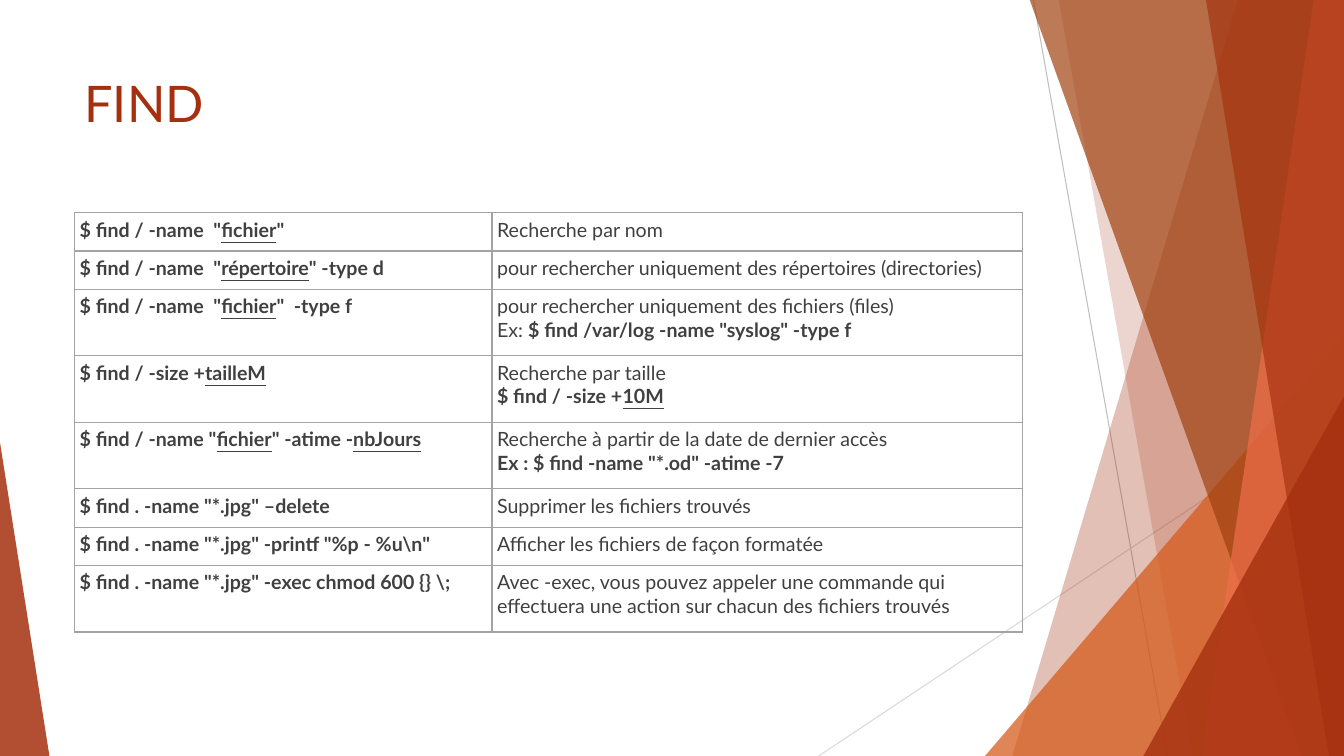
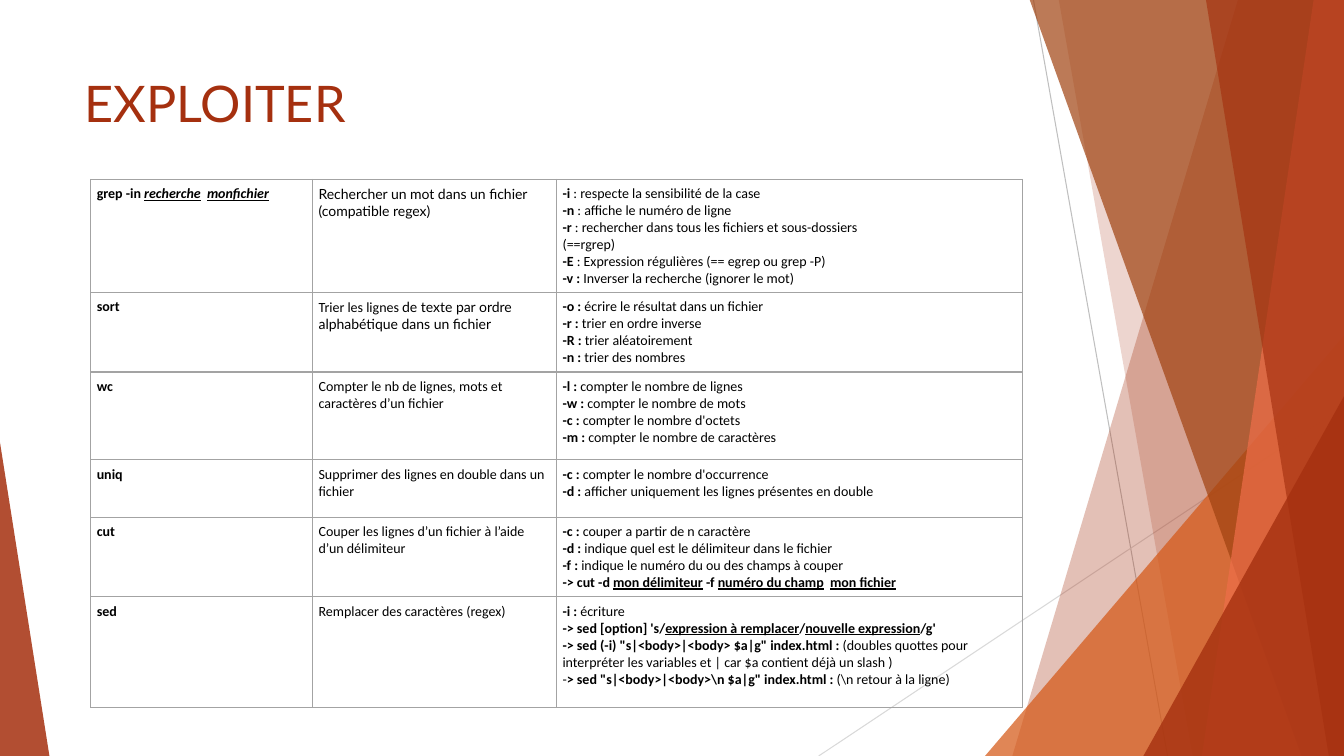
from lxml.etree import SubElement
from pptx import Presentation
from pptx.dml.color import RGBColor
from pptx.enum.shapes import MSO_CONNECTOR, MSO_SHAPE
from pptx.oxml import parse_xml
from pptx.oxml.ns import nsdecls, qn
from pptx.util import Pt

PX = 9144
W, H = 1333, 750
COLORS = {
    "rust": "A5300F", "orange": "D55816", "brown": "A04210", "coral": "EE6E4A",
    "grey": "BFBFBF", "pale": "D9D9D9", "border": "A3A3A3",
    "text": "404040", "black": "000000",
}
MARKS = {"^": "bold", "_": "underline", "~": "italic", "`": "alternate"}

RAYS = [
    ((1025, 0), (1158, H), "grey"),
    ((W, 403), (812, H), "pale"),
]
FACETS = [
    ("band", (1228, 1004), "rust", 30),
    ("band", (1050, 1183), "rust", 20),
    ("triangle", (977, 333, 356, 417, 1), "orange", 72),
    ("band", (1021, 1291), "brown", 70),
    ("band", (1303, 1192), "coral", 70),
    ("band", (1196, 1318), "rust", 65),
    ("triangle", (1134, 393, 199, 357, 1), "rust", 80),
    ("triangle", (0, 439, 49, 311, 0), "rust", 85),
]

SLIDES = [
    {
        "title": "FIND",
        "at": (74, 211), "cols": [414, 526],
        "rows": [38, 38, 66, 66, 66, 38, 38, 66],
        "inset": 5, "size": 14, "color": "text", "fonts": ("Lato", "Lato"),
        "cells": [
            ['^$ find / -name  "_fichier_"', "Recherche par nom"],
            ['^$ find / -name  "_répertoire_" -type d',
             "pour rechercher uniquement des répertoires (directories)"],
            ['^$ find / -name  "_fichier_"  -type f',
             ["pour rechercher uniquement des fichiers (files)",
              'Ex: ^$ find /var/log -name "syslog" -type f']],
            ["^$ find / -size +_tailleM",
             ["Recherche par taille", "^$ find / -size +_10M"]],
            ['^$ find / -name "_fichier_" -atime -_nbJours',
             ["Recherche à partir de la date de dernier accès",
              '^Ex : $ find -name "*.od" -atime -7']],
            ['^$ find . -name "*.jpg" –delete', "Supprimer les fichiers trouvés"],
            [r'^$ find . -name "*.jpg" -printf "%p - %u\n"',
             "Afficher les fichiers de façon formatée"],
            [r'^$ find . -name "*.jpg" -exec chmod 600 {} \;',
             "Avec -exec, vous pouvez appeler une commande qui effectuera "
             "une action sur chacun des fichiers trouvés"],
        ],
    },
    {
        "title": "EXPLOITER",
        "at": (90, 178), "cols": [220, 242, 462],
        "rows": [112, 79, 87, 57, 79, 110],
        "inset": 6, "size": 10, "color": "black", "fonts": ("Calibri", "Lato"),
        "cells": [
            ["^grep -in ~_recherche_  _monfichier",
             "`Rechercher un mot dans un fichier (compatible regex)",
             ["^-i^ : respecte la sensibilité de la case",
              "^-n^ : affiche le numéro de ligne",
              "^-r^ : rechercher dans tous les fichiers et sous-dossiers",
              "(==rgrep)",
              "^-E ^: Expression régulières (== egrep ou grep -P)",
              "^-v :^ Inverser la recherche (ignorer le mot)"]],
            ["^sort",
             "Trier les lignes `de texte par ordre alphabétique dans un fichier",
             ["^-o :^ écrire le résultat dans un fichier",
              "^-r : ^trier en ordre inverse",
              "^-R : ^trier aléatoirement",
              "^-n : ^trier des nombres"]],
            ["^wc", "Compter le nb de lignes, mots et caractères d’un fichier",
             ["^-l :^ compter le nombre de lignes",
              "^-w :^ compter le nombre de mots",
              "^-c :^ compter le nombre d'octets",
              "^-m :^ compter le nombre de caractères"]],
            ["^uniq", "Supprimer des lignes en double dans un fichier",
             ["^-c :^ compter le nombre d'occurrence",
              "^-d :^ afficher uniquement les lignes présentes en double"]],
            ["^cut", "Couper les lignes d’un fichier à l’aide d’un délimiteur",
             ["^-c : ^couper a partir de n caractère",
              "^-d : ^indique quel est le délimiteur dans le fichier",
              "^-f : ^indique le numéro du ou des champs à couper",
              "^-> cut -d _mon délimiteur_ -f _numéro du champ_  _mon fichier"]],
            ["^sed", "Remplacer des caractères (regex)",
             ["^-i : ^écriture",
              "^-> sed [option] 's/_expression à remplacer_/_nouvelle expression_/g'",
              '^-> sed (-i) "s|<body>|<body> $a|g" index.html : ^(doubles quottes '
              "pour interpréter les variables et | car $a contient déjà un slash )",
              r'-^> sed "s|<body>|<body>\n $a|g" index.html : ^(\n retour à la ligne)']],
        ],
    },
]


def write_marked(p, marked, page):
    on = dict.fromkeys(MARKS.values(), False)
    r = None
    for ch in marked:
        if ch in MARKS:
            on[MARKS[ch]] = not on[MARKS[ch]]
            r = None
            continue
        if r is None:
            r = p.add_run()
            r.font.name = page["fonts"][on["alternate"]]
            r.font.size = Pt(page["size"])
            r.font.color.rgb = RGBColor.from_string(COLORS[page["color"]])
            r.font.bold = on["bold"]
            r.font.italic = on["italic"]
            r.font.underline = on["underline"]
        r.text += ch


def format_cell(cell, inset):
    cell.margin_left = cell.margin_right = inset * PX
    cell.margin_top = cell.margin_bottom = inset * PX
    cell.fill.background()
    tcPr = cell._tc.get_or_add_tcPr()
    for i, side in enumerate(("lnL", "lnR", "lnT", "lnB")):
        tcPr.insert(i, parse_xml(
            f'<a:{side} {nsdecls("a")} w="{Pt(1)}"><a:solidFill>'
            f'<a:srgbClr val="{COLORS["border"]}"/></a:solidFill></a:{side}>'))


prs = Presentation()
prs.slide_width, prs.slide_height = W * PX, H * PX

for page in SLIDES:
    slide = prs.slides.add_slide(prs.slide_layouts[6])

    for start, end, color in RAYS:
        ray = slide.shapes.add_connector(
            MSO_CONNECTOR.STRAIGHT, *(v * PX for v in start + end))
        ray.line.color.rgb = RGBColor.from_string(COLORS[color])
        ray.line.width = Pt(0.75)
        SubElement(ray._element.spPr, qn("a:effectLst"))

    for kind, geometry, color, alpha in FACETS:
        if kind == "band":
            top_x, bottom_x = geometry
            fb = slide.shapes.build_freeform(top_x, -1, scale=PX)
            fb.add_line_segments([(W, -1), (W, H), (bottom_x, H)])
            s = fb.convert_to_shape()
        else:
            *box, apex = geometry
            s = slide.shapes.add_shape(
                MSO_SHAPE.ISOSCELES_TRIANGLE, *(v * PX for v in box))
            s.adjustments[0] = apex
        s.shadow.inherit = False
        s.line.fill.background()
        s.fill.solid()
        s.fill.fore_color.rgb = RGBColor.from_string(COLORS[color])
        clr = s._element.spPr.find(".//" + qn("a:srgbClr"))
        SubElement(clr, qn("a:alpha"), val=str(alpha * 1000))

    tf = slide.shapes.add_textbox(74 * PX, 67 * PX, 940 * PX, 144 * PX).text_frame
    tf.word_wrap = True
    tf.text = page["title"]
    font = tf.paragraphs[0].runs[0].font
    font.name, font.size = "Lato", Pt(36)
    font.color.rgb = RGBColor.from_string(COLORS["rust"])

    left, top = page["at"]
    cols, rows = page["cols"], page["rows"]
    table = slide.shapes.add_table(
        len(rows), len(cols), left * PX, top * PX,
        sum(cols) * PX, sum(rows) * PX).table
    table.first_row = table.horz_banding = False
    for column, width in zip(table.columns, cols):
        column.width = width * PX
    for row, height, contents in zip(table.rows, rows, page["cells"]):
        row.height = height * PX
        for cell, content in zip(row.cells, contents):
            format_cell(cell, page["inset"])
            lines = [content] if isinstance(content, str) else content
            for i, line in enumerate(lines):
                tf = cell.text_frame
                p = tf.add_paragraph() if i else tf.paragraphs[0]
                write_marked(p, line, page)

prs.save("out.pptx")
